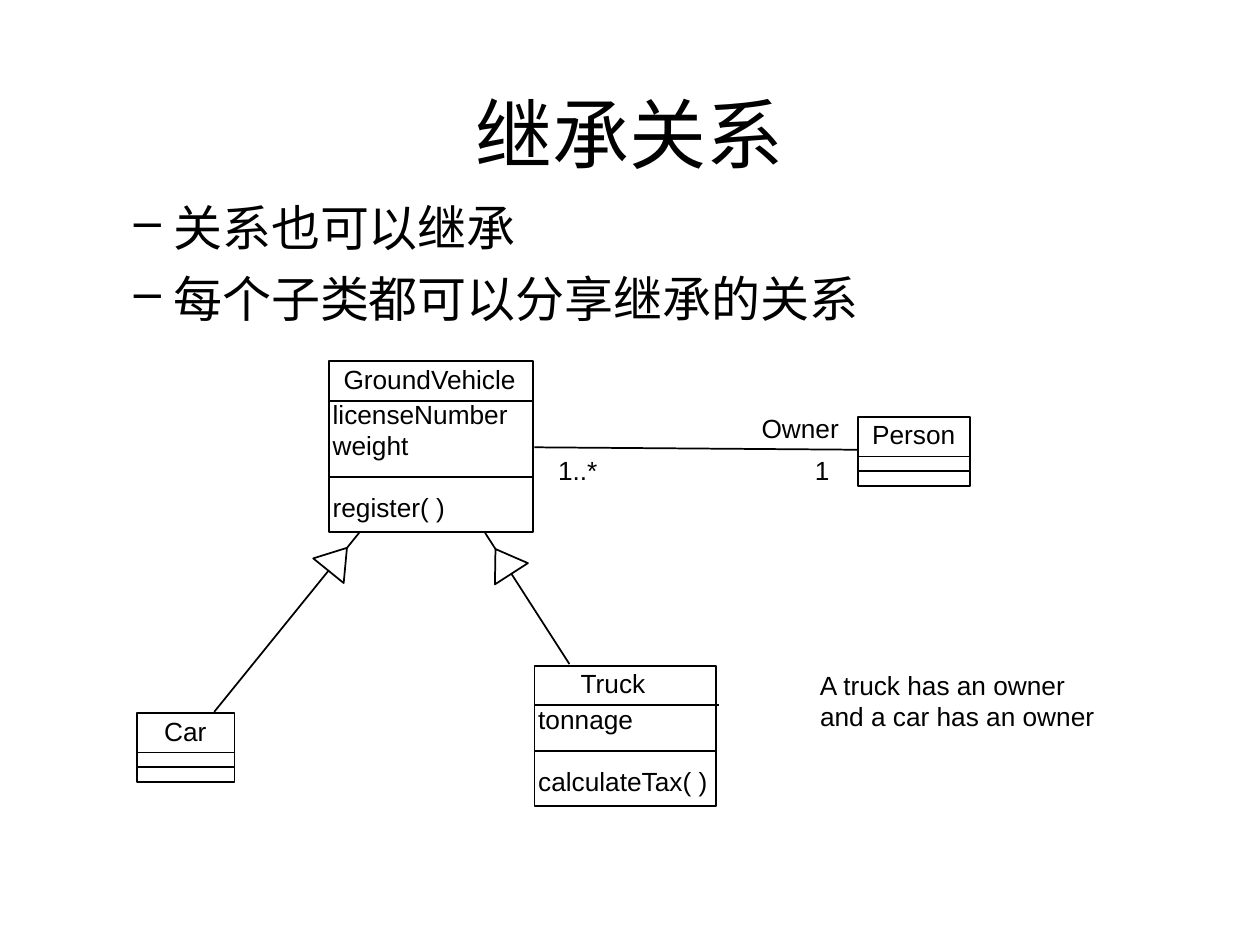
from math import hypot

from pptx import Presentation
from pptx.dml.color import RGBColor
from pptx.enum.shapes import MSO_CONNECTOR, MSO_SHAPE
from pptx.enum.text import MSO_ANCHOR, MSO_AUTO_SIZE, PP_ALIGN
from pptx.oxml.ns import qn
from pptx.util import Pt
from lxml.etree import SubElement

COLORS = {"ink": "000000", "paper": "FFFFFF"}


def rgb(name):
    return RGBColor.from_string(COLORS[name])


def add_text(slide, text, box, size=15, font="Arial", align=PP_ALIGN.LEFT,
             anchor=MSO_ANCHOR.TOP, inset=(7.2, 3.6), wrap=False,
             bullet=None, indent=0, hang=0, before=0):
    frame = slide.shapes.add_textbox(*map(Pt, box)).text_frame
    frame.word_wrap = wrap
    frame.auto_size = MSO_AUTO_SIZE.NONE if wrap else MSO_AUTO_SIZE.SHAPE_TO_FIT_TEXT
    frame.vertical_anchor = anchor
    frame.margin_left = frame.margin_right = Pt(inset[0])
    frame.margin_top = frame.margin_bottom = Pt(inset[1])
    for i, content in enumerate(text.split("\n")):
        para = frame.paragraphs[0] if i == 0 else frame.add_paragraph()
        para.alignment = align
        if i:
            para.space_before = Pt(before)
        if bullet:
            props = para._p.get_or_add_pPr()
            props.set("marL", str(Pt(indent)))
            props.set("indent", str(-Pt(hang)))
            SubElement(props, qn("a:buChar")).set("char", bullet)
        run = para.add_run()
        run.text = content
        run.font.size = Pt(size)
        run.font.name = font
        run.font.color.rgb = rgb("ink")


def outline(shape):
    shape.line.color.rgb = rgb("ink")
    shape.line.width = Pt(1)


def add_line(slide, start, end):
    line = slide.shapes.add_connector(MSO_CONNECTOR.STRAIGHT, *map(Pt, start + end))
    outline(line)
    SubElement(line._element.spPr, qn("a:effectLst"))


def add_heading(slide, left, top, width):
    add_text(slide, "继承关系", (left, top, width, 66), size=44, font="Times New Roman",
             align=PP_ALIGN.CENTER, anchor=MSO_ANCHOR.BOTTOM, inset=(0, 0), wrap=True)
    add_text(slide, "关系也可以继承\n每个子类都可以分享继承的关系",
             (left, top + 77, width, 70), size=28, font="Times New Roman",
             inset=(0, 0), wrap=True, bullet="–", indent=45, hang=22.5, before=7)


def add_class(slide, box, name, name_width, attributes=(), operation=None,
              name_shift=0, overhang=0):
    """UML class; attributes and operation are (text, width) pairs."""
    left, top, width, height = box
    frame = slide.shapes.add_shape(MSO_SHAPE.RECTANGLE, *map(Pt, box))
    frame.shadow.inherit = False
    frame.fill.background()
    outline(frame)
    add_text(slide, name, (left + (width - name_width) / 2 + name_shift, top - 2.6,
                           name_width, 25.2))

    # Compartment dividers
    lower = top + height - (31.4 if operation else 8.6)
    right = left + width
    add_line(slide, (left, top + 22.5), (right + overhang, top + 22.5))
    add_line(slide, (left, lower), (right, lower))

    # Members
    for i, (text, text_width) in enumerate(attributes):
        add_text(slide, text, (left - 5, top + 17.8 + i * 17.4, text_width, 25.2))
    if operation:
        add_text(slide, operation[0], (left - 5, top + height - 27, operation[1], 25.2))


def add_generalization(slide, child, parent, gap=11, length=16.8, half_base=11.2):
    """Line from child to parent with a hollow triangle just short of the parent."""
    add_line(slide, child, parent)
    dx, dy = child[0] - parent[0], child[1] - parent[1]
    ux, uy = dx / hypot(dx, dy), dy / hypot(dx, dy)

    def point(along, across):
        return (Pt(parent[0] + ux * along - uy * across),
                Pt(parent[1] + uy * along + ux * across))

    base = gap + length
    builder = slide.shapes.build_freeform(*point(gap, 0))
    builder.add_line_segments([point(base, half_base), point(base, -half_base)], close=True)
    triangle = builder.convert_to_shape()
    triangle.shadow.inherit = False
    triangle.fill.solid()
    triangle.fill.fore_color.rgb = rgb("paper")
    outline(triangle)


def add_ownership(slide, start, end):
    """Association between vehicle and person, with role and multiplicities."""
    add_line(slide, start, end)
    add_text(slide, "Owner", (end[0] - 61.5, end[1] - 25.2, 59, 25.2))
    add_text(slide, "1..*", (start[0] + 6.5, start[1] + 0.7, 36.7, 25.2))
    add_text(slide, "1", (end[0] - 31, end[1] - 0.7, 23, 25.2))


def add_note(slide, left, top):
    add_text(slide, "A truck has an owner", (left, top, 155.5, 25.2))
    add_text(slide, "and a car has an owner", (left, top + 18, 171.4, 25.2))


def main():
    deck = Presentation()
    deck.slide_width, deck.slide_height = Pt(720), Pt(540)
    slide = deck.slides.add_slide(deck.slide_layouts[6])

    add_heading(slide, 54, 36, 612)

    # Classes
    add_class(slide, (78.5, 407.5, 55.5, 39.5), "Car", 39)
    add_class(slide, (305.5, 380.5, 103.5, 80), "Truck", 52, [("tonnage", 69)],
              ("calculateTax( )", 113), name_shift=-6.5, overhang=2)
    add_class(slide, (490.3, 238.3, 64, 39.5), "Person", 62)
    add_class(slide, (188, 206.5, 116.5, 97.5), "GroundVehicle", 114,
              [("licenseNumber", 114.5), ("weight", 57.6)], ("register( )", 78.5))

    # Relationships
    add_generalization(slide, (122.4, 406.8), (205.2, 304.5))
    add_generalization(slide, (325.4, 379.5), (277.2, 304.5))
    add_ownership(slide, (305.3, 255.6), (489.6, 257))

    add_note(slide, 461.5, 378.7)
    deck.save("out.pptx")


if __name__ == "__main__":
    main()
